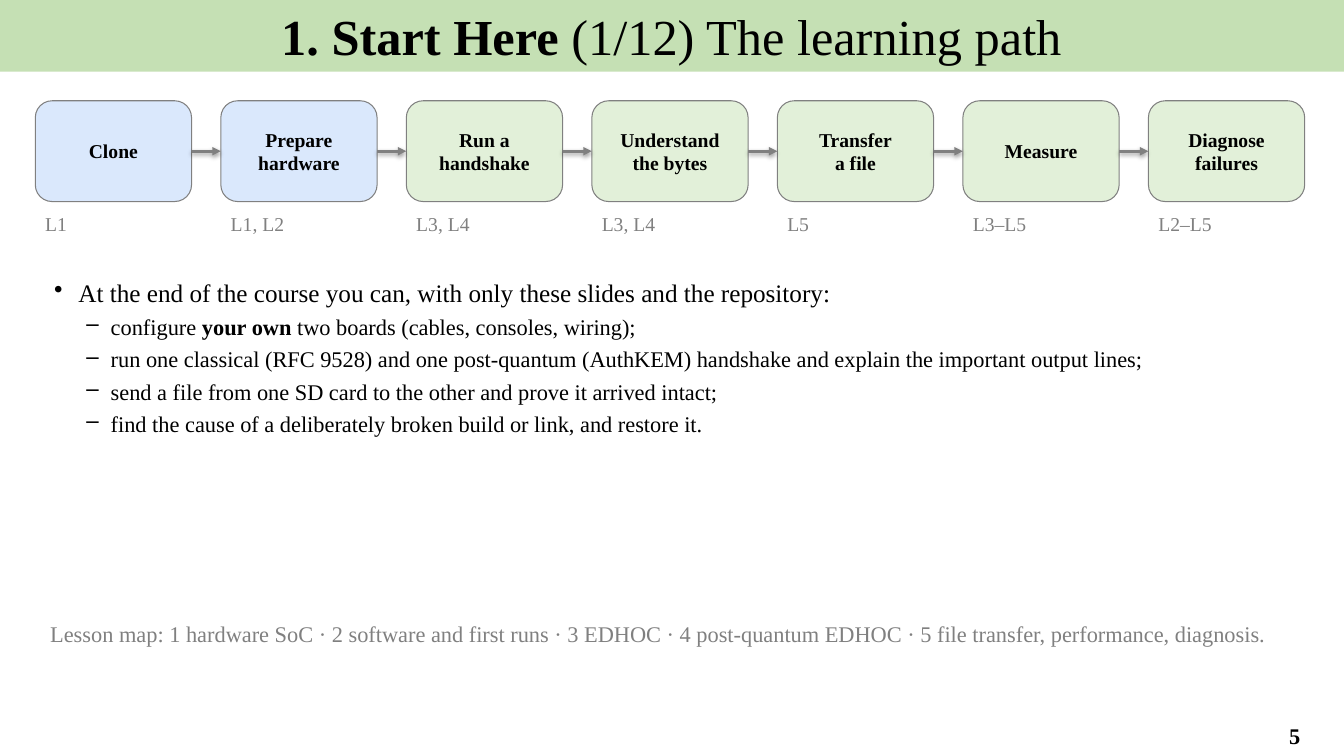
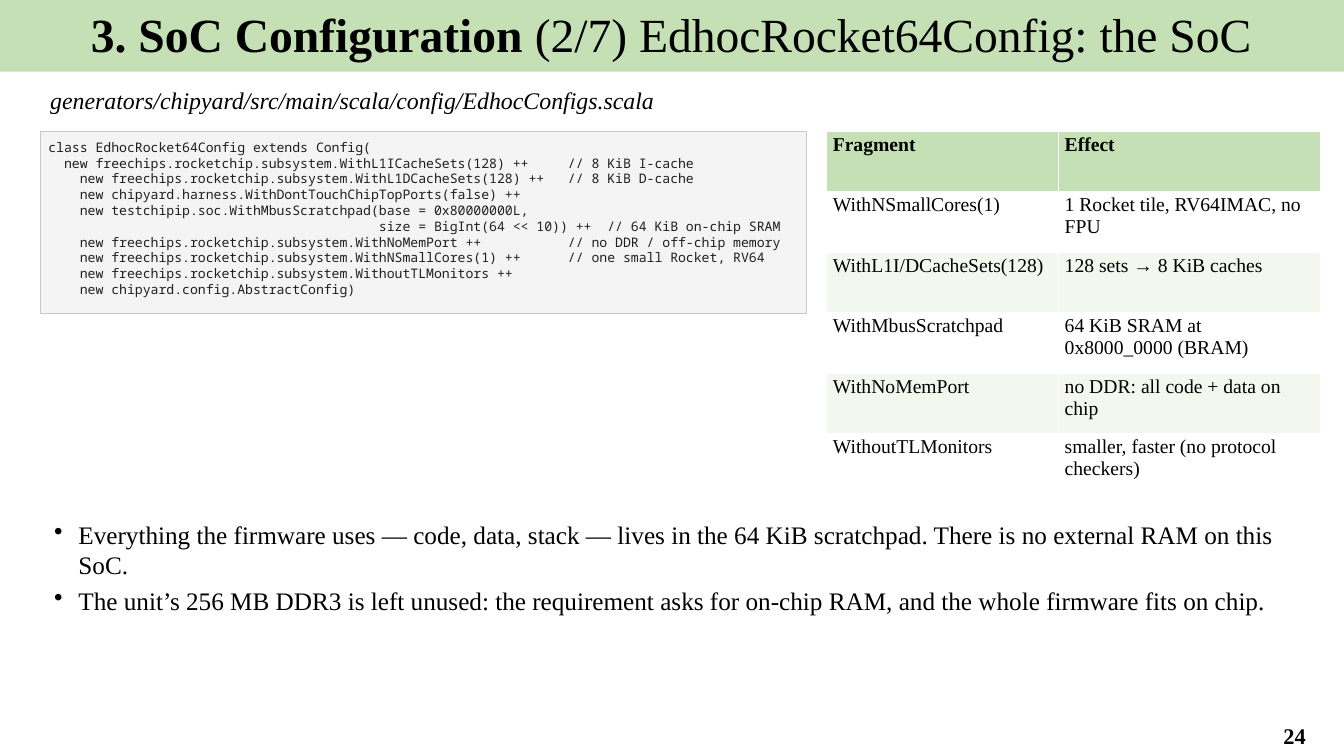
"""Build two course slides: the learning path and the SoC configuration."""
from lxml.etree import SubElement
from pptx import Presentation
from pptx.dml.color import RGBColor
from pptx.enum.shapes import MSO_CONNECTOR as Connector, MSO_SHAPE as Shape
from pptx.enum.text import MSO_ANCHOR as Anchor, PP_ALIGN as Align
from pptx.oxml.ns import qn
from pptx.util import Pt

PX = 9144
SERIF = "Times New Roman"
MONO = "Noto Sans Mono"
BLACK = RGBColor(0x00, 0x00, 0x00)
WHITE = RGBColor(0xFF, 0xFF, 0xFF)
GREY = RGBColor(0x80, 0x80, 0x80)
GREEN = RGBColor(0xC5, 0xE0, 0xB4)
PALE_GREEN = RGBColor(0xE2, 0xF0, 0xD9)
BAND_GREEN = RGBColor(0xF2, 0xF8, 0xEE)
PALE_BLUE = RGBColor(0xDA, 0xE8, 0xFC)
CODE_FILL = RGBColor(0xF4, 0xF4, 0xF4)
CODE_LINE = RGBColor(0xC8, 0xC8, 0xC8)
CODE_TEXT = RGBColor(0x1F, 0x1F, 0x1F)

LEFT, WIDTH = 40, 1250
STEP_LEFT, STEP_TOP, STEP_WIDTH, STEP_HEIGHT, STEP_PITCH = 35, 100, 155, 100, 184
BULLETS = [("•", 28, 18), ("–", 60, 16)]
HANGING = 24

STEPS = [
    ("Clone", "L1", PALE_BLUE),
    ("Prepare\nhardware", "L1, L2", PALE_BLUE),
    ("Run a\nhandshake", "L3, L4", PALE_GREEN),
    ("Understand\nthe bytes", "L3, L4", PALE_GREEN),
    ("Transfer\na file", "L5", PALE_GREEN),
    ("Measure", "L3–L5", PALE_GREEN),
    ("Diagnose\nfailures", "L2–L5", PALE_GREEN),
]
GOALS = [
    (0, ["At the end of the course you can, with only these slides and the repository:"]),
    (1, ["configure ", "your own", " two boards (cables, consoles, wiring);"]),
    (1, ["run one classical (RFC 9528) and one post-quantum (AuthKEM) handshake "
         "and explain the important output lines;"]),
    (1, ["send a file from one SD card to the other and prove it arrived intact;"]),
    (1, ["find the cause of a deliberately broken build or link, and restore it."]),
]
LESSON_MAP = ("Lesson map: 1 hardware SoC · 2 software and first runs · 3 EDHOC · "
              "4 post-quantum EDHOC · 5 file transfer, performance, diagnosis.")
CODE = """class EdhocRocket64Config extends Config(
  new freechips.rocketchip.subsystem.WithL1ICacheSets(128) ++     // 8 KiB I-cache
    new freechips.rocketchip.subsystem.WithL1DCacheSets(128) ++   // 8 KiB D-cache
    new chipyard.harness.WithDontTouchChipTopPorts(false) ++
    new testchipip.soc.WithMbusScratchpad(base = 0x80000000L,
                                          size = BigInt(64 << 10)) ++  // 64 KiB on-chip SRAM
    new freechips.rocketchip.subsystem.WithNoMemPort ++           // no DDR / off-chip memory
    new freechips.rocketchip.subsystem.WithNSmallCores(1) ++      // one small Rocket, RV64
    new freechips.rocketchip.subsystem.WithoutTLMonitors ++
    new chipyard.config.AbstractConfig)"""
FRAGMENTS = [
    ("Fragment", "Effect"),
    ("WithNSmallCores(1)", "1 Rocket tile, RV64IMAC, no FPU"),
    ("WithL1I/DCacheSets(128)", "128 sets → 8 KiB caches"),
    ("WithMbusScratchpad", "64 KiB SRAM at 0x8000_0000 (BRAM)"),
    ("WithNoMemPort", "no DDR: all code + data on chip"),
    ("WithoutTLMonitors", "smaller, faster (no protocol checkers)"),
]
MEMORY_NOTES = [
    (0, ["Everything the firmware uses — code, data, stack — lives in the 64 KiB scratchpad. "
         "There is no external RAM on this SoC."]),
    (0, ["The unit’s 256 MB DDR3 is left unused: the requirement asks for on-chip RAM, "
         "and the whole firmware fits on chip."]),
]


class SlideBuilder:
    """Hold the deck style and draw elements on the current slide."""

    def __init__(self):
        """Start an empty widescreen deck."""
        self.deck = Presentation()
        self.deck.slide_width, self.deck.slide_height = 1333 * PX, 750 * PX
        self.page = None

    def style(self, span, size, color=BLACK, bold=False, italic=False, face=SERIF):
        """Format one run."""
        font = span.font
        font.name, font.size, font.bold, font.italic = face, Pt(size), bold, italic
        font.color.rgb = color

    def format(self, frame, size, align=Align.LEFT, after=0, **look):
        """Format every paragraph and run of a text frame."""
        for para in frame.paragraphs:
            para.alignment, para.space_after = align, Pt(after)
            for span in para.runs:
                self.style(span, size, **look)

    def spans(self, para, pieces, size, bold_index):
        """Add runs, with the one at bold_index in bold."""
        for index, piece in enumerate(pieces):
            span = para.add_run()
            span.text = piece
            self.style(span, size, bold=index == bold_index)

    def inset(self, holder, across, down):
        """Set the inner margins of a text frame or cell."""
        holder.margin_left = holder.margin_right = across * PX
        holder.margin_top = holder.margin_bottom = down * PX

    def panel(self, kind, left, top, width, height, fill, line=None):
        """Draw a filled shape and return its text frame."""
        shape = self.page.shapes.add_shape(kind, left * PX, top * PX, width * PX, height * PX)
        shape.shadow.inherit = False
        shape.fill.solid()
        shape.fill.fore_color.rgb = fill
        if line is None:
            shape.line.fill.background()
        else:
            shape.line.color.rgb, shape.line.width = line, Pt(0.75)
        shape.text_frame.word_wrap = True
        return shape.text_frame

    def box(self, left, top, width, height, text="", size=16, **look):
        """Draw a wrapping text box and return its text frame."""
        box = self.page.shapes.add_textbox(left * PX, top * PX, width * PX, height * PX)
        frame = box.text_frame
        frame.word_wrap = True
        frame.text = text
        self.format(frame, size, **look)
        return frame

    def slide(self, section, topic, number, size):
        """Add a slide with its title band and page number."""
        self.page = self.deck.slides.add_slide(self.deck.slide_layouts[6])
        frame = self.panel(Shape.RECTANGLE, -1, 0, 1334, 71, GREEN)
        frame.vertical_anchor = Anchor.TOP
        para = frame.paragraphs[0]
        para.alignment = Align.CENTER
        self.spans(para, [section, topic], size, bold_index=0)
        footer = self.box(1235, 710, 98, 39, str(number), align=Align.CENTER, bold=True)
        footer.vertical_anchor = Anchor.MIDDLE

    def step(self, left, name, lessons, fill):
        """Draw one step of the path with its lessons below."""
        frame = self.panel(Shape.ROUNDED_RECTANGLE, left, STEP_TOP, STEP_WIDTH, STEP_HEIGHT,
                           fill, GREY)
        frame.vertical_anchor = Anchor.MIDDLE
        self.inset(frame, 4, 4)
        frame.text = name
        self.format(frame, 14, Align.CENTER, bold=True)
        self.box(left, STEP_TOP + STEP_HEIGHT + 5, STEP_WIDTH, 40, lessons, 14,
                 after=4, color=GREY)

    def arrow(self, start, end, height):
        """Draw a horizontal arrow."""
        arrow = self.page.shapes.add_connector(
            Connector.STRAIGHT, start * PX, height * PX, end * PX, height * PX)
        arrow.line.color.rgb, arrow.line.width = GREY, Pt(2)
        SubElement(arrow.line._get_or_add_ln(), qn("a:tailEnd"), type="triangle")

    def bullets(self, top, height, items):
        """Draw a bulleted list of (level, pieces) items."""
        frame = self.box(LEFT, top, WIDTH, height)
        for index, (level, pieces) in enumerate(items):
            para = frame.add_paragraph() if index else frame.paragraphs[0]
            mark, indent, size = BULLETS[level]
            properties = para._p.get_or_add_pPr()
            properties.set("marL", str(indent * PX))
            properties.set("indent", str(-HANGING * PX))
            SubElement(properties, qn("a:buChar"), char=mark)
            para.space_after = Pt(4)
            self.spans(para, pieces, size, bold_index=1)

    def code(self, left, top, width, height, text):
        """Draw a code listing."""
        frame = self.panel(Shape.RECTANGLE, left, top, width, height, CODE_FILL, CODE_LINE)
        frame.word_wrap = False
        frame.vertical_anchor = Anchor.TOP
        self.inset(frame, 8, 8)
        frame.text = text
        self.format(frame, 9.4, color=CODE_TEXT, face=MONO)

    def table(self, left, top, widths, row_height, rows):
        """Draw a table with a green header and banded rows."""
        table = self.page.shapes.add_table(
            len(rows), len(widths), left * PX, top * PX,
            sum(widths) * PX, len(rows) * row_height * PX).table
        for column, width in zip(table.columns, widths):
            column.width = width * PX
        for row, texts in enumerate(rows):
            fill = GREEN if row == 0 else WHITE if row % 2 else BAND_GREEN
            for column, text in enumerate(texts):
                cell = table.cell(row, column)
                cell.fill.solid()
                cell.fill.fore_color.rgb = fill
                self.inset(cell, 6, 3)
                cell.text = text
                self.format(cell.text_frame, 14, bold=row == 0)


def learning_path(builder):
    """Draw the learning path slide."""
    builder.slide("1. Start Here ", "(1/12) The learning path", 5, size=36)
    for index, (name, lessons, fill) in enumerate(STEPS):
        left = STEP_LEFT + index * STEP_PITCH
        builder.step(left, name, lessons, fill)
        if index:
            builder.arrow(left - STEP_PITCH + STEP_WIDTH, left, STEP_TOP + STEP_HEIGHT // 2)
    builder.bullets(270, 300, GOALS)
    builder.box(LEFT, 610, WIDTH, 80, LESSON_MAP, after=4, color=GREY)


def soc_configuration(builder):
    """Draw the SoC configuration slide."""
    builder.slide("3. SoC Configuration ", "(2/7) EdhocRocket64Config: the SoC", 24, size=34)
    builder.box(LEFT, 80, WIDTH, 50, "generators/chipyard/src/main/scala/config/EdhocConfigs.scala",
                17, after=4, italic=True)
    builder.code(LEFT, 130, 760, 181, CODE)
    builder.table(820, 130, [230, 260], 60, FRAGMENTS)
    builder.bullets(510, 190, MEMORY_NOTES)


def main():
    """Build and save the deck."""
    builder = SlideBuilder()
    learning_path(builder)
    soc_configuration(builder)
    builder.deck.save("out.pptx")


if __name__ == "__main__":
    main()
